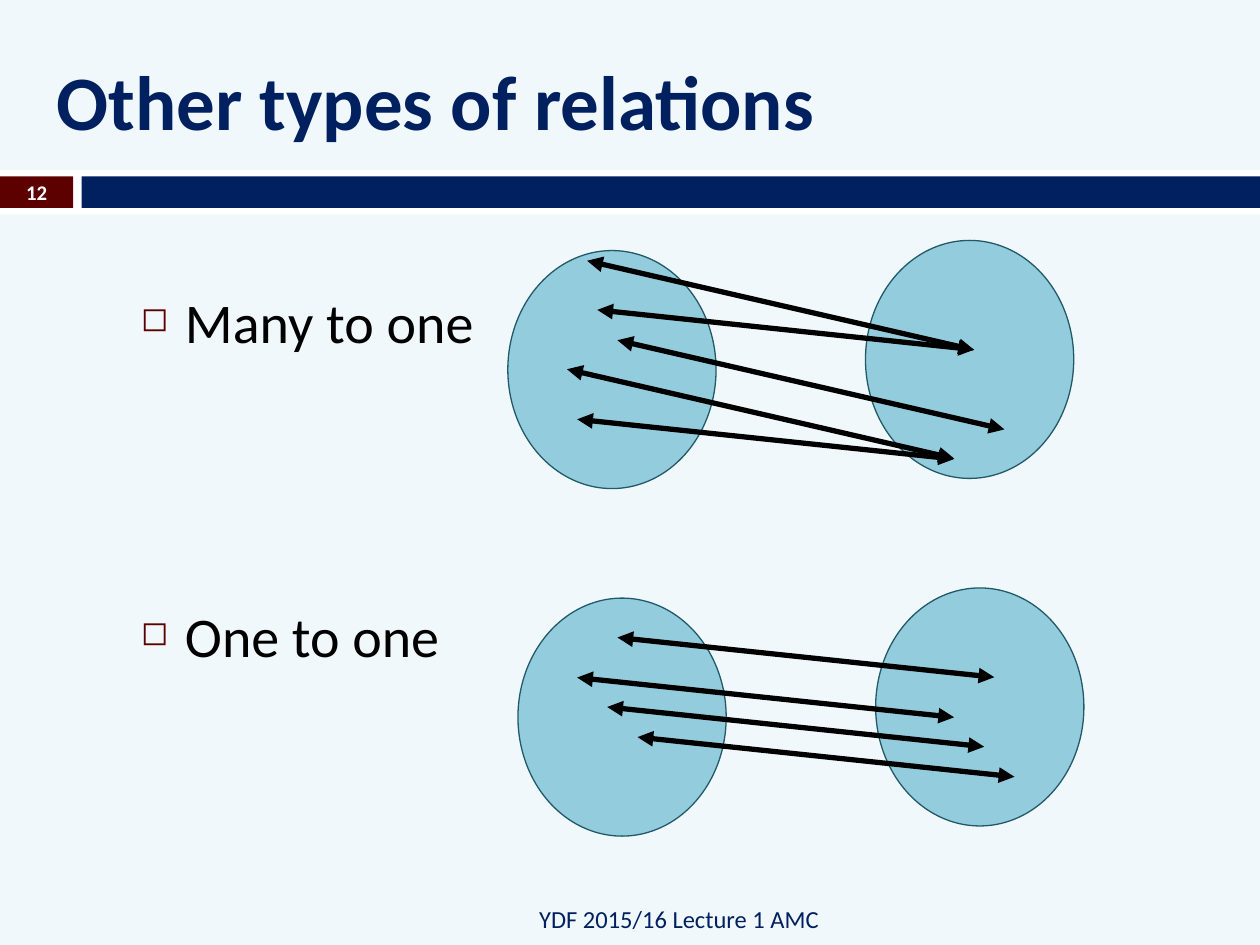
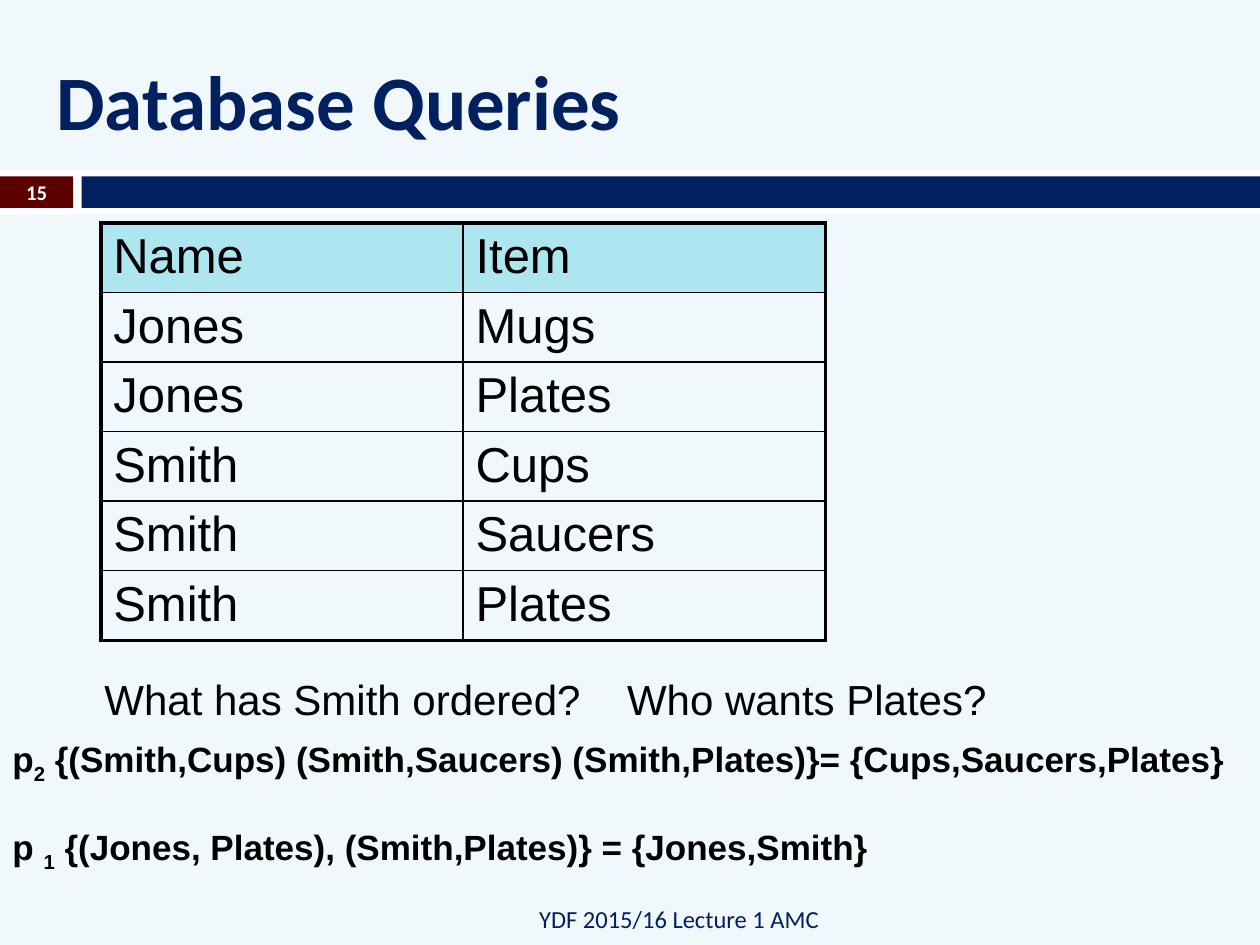
"""Build two slides on relations and database queries."""
from lxml.etree import SubElement
from pptx import Presentation
from pptx.dml.color import RGBColor
from pptx.enum.shapes import MSO_CONNECTOR, MSO_SHAPE
from pptx.enum.text import MSO_ANCHOR, PP_ALIGN
from pptx.oxml import parse_xml
from pptx.oxml.ns import nsdecls, qn
from pptx.util import Pt

NAVY, MAROON, WHITE, BLACK = "002060", "5C0000", "FFFFFF", "000000"
PALE, BLUE, EDGE, HEAD = "F1F8FB", "93CDDD", "215968", "ADE6F1"


def hue(code):
    return RGBColor.from_string(code)


def write(slide, rect, lines, size, font="Calibri", color=BLACK, bold=False,
          align=PP_ALIGN.LEFT, anchor=MSO_ANCHOR.TOP, gap=0, marks=()):
    frame = slide.shapes.add_textbox(*map(Pt, rect)).text_frame
    frame.word_wrap = True
    frame.vertical_anchor = anchor
    for i, line in enumerate(lines):
        para = frame.paragraphs[0] if i == 0 else frame.add_paragraph()
        para.alignment = align
        if i:
            para.space_before = Pt(gap)
        props = para._p.get_or_add_pPr()
        for mark in marks:
            props.append(parse_xml(mark))
        for j, part in enumerate(line.split("_")):
            run = para.add_run()
            run.text = part
            run.font.size, run.font.name, run.font.bold = Pt(size), font, bold
            run.font.color.rgb = hue(color)
            if j == 1:
                run.font._element.set("baseline", "-25000")
    return frame


deck = Presentation()
deck.slide_width, deck.slide_height = Pt(720), Pt(540)
bands = [(0, 97.2, 720, 25.2, WHITE), (0, 100.8, 41.8, 18, MAROON),
         (46.6, 100.8, 673.4, 18, NAVY)]
slides = []
for title, number in [("Other types of relations", "12"), ("Database Queries", "15")]:
    slide = deck.slides.add_slide(deck.slide_layouts[6])
    slide.background.fill.solid()
    slide.background.fill.fore_color.rgb = hue(PALE)
    for *rect, color in bands:
        band = slide.shapes.add_shape(MSO_SHAPE.RECTANGLE, *map(Pt, rect))
        band.shadow.inherit = False
        band.fill.solid()
        band.fill.fore_color.rgb = hue(color)
        band.line.fill.background()
    write(slide, (25.2, 18, 674.6, 77.8), [title], 44, color=NAVY, bold=True,
          anchor=MSO_ANCHOR.MIDDLE)
    write(slide, (48.2, 510.5, 427, 28.8), ["YDF 2015/16 Lecture 1 AMC"], 14,
          color=NAVY, align=PP_ALIGN.RIGHT, anchor=MSO_ANCHOR.MIDDLE)
    write(slide, (0, 100, 41.8, 19.4), [number], 11.9, color=WHITE, bold=True,
          align=PP_ALIGN.CENTER, anchor=MSO_ANCHOR.MIDDLE)
    slides.append(slide)
maps, query = slides

space = nsdecls("a")
bullet = [f'<a:buClr {space}><a:srgbClr val="{MAROON}"/></a:buClr>',
          f'<a:buSzPct {space} val="60000"/>', f'<a:buChar {space} char="◻"/>']
frame = write(maps, (73.4, 161, 627, 319), ["Many to one", "One to one"], 32,
              gap=141, marks=bullet)
for para in frame.paragraphs:
    para._p.pPr.set("marL", str(Pt(25.2)))
    para._p.pPr.set("indent", str(Pt(-25.2)))

steep, slight = (221.2, 51), (215.4, 22.7)
many = [(335.5, 149, steep), (341.3, 177.1, slight), (324, 211, steep),
        (329.8, 239.6, slight), (352.8, 194.4, steep)]
single = [(352.8, 364.3, slight), (329.8, 387.2, slight),
          (347, 404, slight), (364.3, 421.2, slight)]
for left, top, links in [(290.2, 143.2, many), (296, 341.8, single)]:
    for x, y in [(left, top), (left + 204.4, top - 5.8)]:
        oval = maps.shapes.add_shape(MSO_SHAPE.OVAL, Pt(x), Pt(y), Pt(119), Pt(136))
        oval.shadow.inherit = False
        oval.fill.solid()
        oval.fill.fore_color.rgb = hue(BLUE)
        oval.line.color.rgb = hue(EDGE)
        oval.line.width = Pt(0.75)
    for x, y, (dx, dy) in links:
        link = maps.shapes.add_connector(
            MSO_CONNECTOR.STRAIGHT, Pt(x), Pt(y), Pt(x + dx), Pt(y + dy))
        link.line.color.rgb = hue(BLACK)
        link.line.width = Pt(3)
        for end in ("a:headEnd", "a:tailEnd"):
            SubElement(link.line._get_or_add_ln(), qn(end), type="triangle")
        SubElement(link._element.spPr, qn("a:effectLst"))

rows = [("Name", "Item"), ("Jones", "Mugs"), ("Jones", "Plates"),
        ("Smith", "Cups"), ("Smith", "Saucers"), ("Smith", "Plates")]
table = query.shapes.add_table(
    len(rows), 2, Pt(57.6), Pt(127.4), Pt(414), Pt(230.4)).table
for col in table.columns:
    col.width = Pt(207)
for r, row in enumerate(rows):
    table.rows[r].height = Pt(38.4)
    for c, word in enumerate(row):
        cell = table.cell(r, c)
        cell.text_frame.text = word
        cell.margin_bottom = Pt(2.5)
        font = cell.text_frame.paragraphs[0].runs[0].font
        font.size, font.name, font.bold = Pt(28), "Arial", False
        font.color.rgb = hue(BLACK)
        if r == 0:
            cell.fill.solid()
            cell.fill.fore_color.rgb = hue(HEAD)
        else:
            cell.fill.background()
        outer = {"L": c == 0, "R": c == 1, "T": r == 0, "B": r == len(rows) - 1}
        for i, (side, thick) in enumerate(outer.items()):
            cell._tc.tcPr.insert(i, parse_xml(
                f'<a:ln{side} {space} w="{Pt(2.25 if thick else 1)}"><a:solidFill>'
                f'<a:srgbClr val="{BLACK}"/></a:solidFill></a:ln{side}>'))

stop = f'<a:tabLst {space}><a:tab pos="{Pt(298.6)}" algn="l"/></a:tabLst>'
write(query, (52.6, 381.5, 544.4, 36), ["What has Smith ordered?\tWho wants Plates?"],
      24, "Arial", marks=[stop])
write(query, (0, 418, 720, 90),
      ["p_2_ {(Smith,Cups) (Smith,Saucers) (Smith,Plates)}= {Cups,Saucers,Plates}",
       "p _1_ {(Jones, Plates), (Smith,Plates)} = {Jones,Smith}"],
      20, "Arial", bold=True, gap=23)

deck.save("out.pptx")
